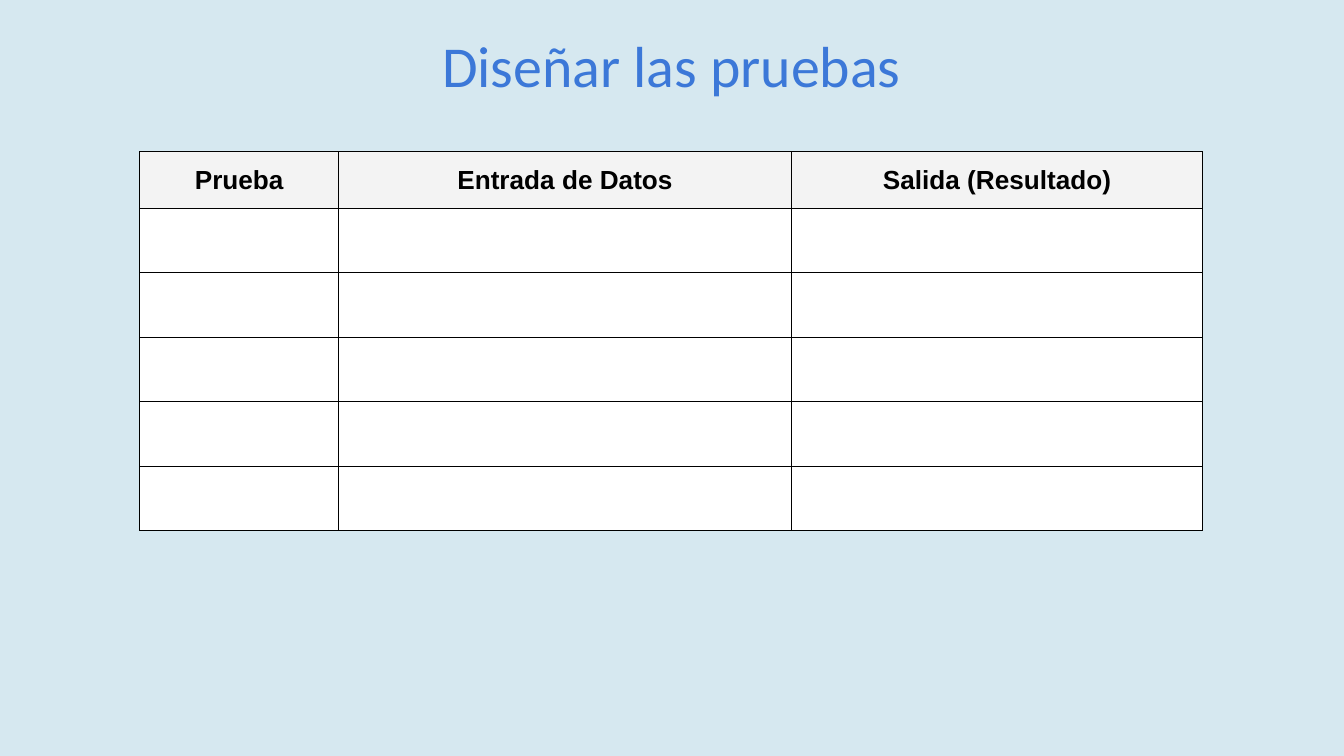
from lxml import etree
from pptx import Presentation
from pptx.dml.color import RGBColor
from pptx.enum.text import MSO_ANCHOR, MSO_AUTO_SIZE, PP_ALIGN
from pptx.oxml.ns import qn
from pptx.util import Inches, Pt

CENTER = PP_ALIGN.CENTER
TOP = MSO_ANCHOR.TOP
NO_FIT = MSO_AUTO_SIZE.NONE

HEADERS = ["Prueba", "Entrada de Datos", "Salida (Resultado)"]
COL_WIDTHS = [1.48, 3.37, 3.06]
HEADER_HEIGHT = 0.42
ROW_HEIGHT = 0.48
EMPTY_ROWS = 5


def color(value):
    """Return the colour for a hex string."""
    return RGBColor.from_string(value)


def fill(target, value):
    """Give a cell or background a solid fill."""
    target.fill.solid()
    target.fill.fore_color.rgb = color(value)


def set_margins(target, inches):
    """Set the four inner margins of a cell or text frame."""
    for side in ("left", "top", "right", "bottom"):
        setattr(target, f"margin_{side}", Inches(inches))


def write(tf, text, font, size, value, bold=False):
    """Write one centred line in a text frame."""
    p = tf.paragraphs[0]
    p.alignment = CENTER
    r = p.add_run()
    r.text = text
    for name, setting in {"name": font, "size": Pt(size), "bold": bold}.items():
        setattr(r.font, name, setting)
    r.font.color.rgb = color(value)


def set_borders(cell, value, width):
    """Draw a solid line on the four sides of a cell."""
    props = cell._tc.get_or_add_tcPr()
    for i, side in enumerate(("a:lnL", "a:lnR", "a:lnT", "a:lnB")):
        line = etree.Element(qn(side), w=str(Pt(width)))
        solid = etree.SubElement(line, qn("a:solidFill"))
        etree.SubElement(solid, qn("a:srgbClr"), val=value)
        props.insert(i, line)


def add_title(s, text, left, top, width, height):
    """Place and format the slide title in its box."""
    sp = s.shapes.title
    box = {"left": left, "top": top, "width": width, "height": height}
    for name, value in box.items():
        setattr(sp, name, Inches(value))
    tf = sp.text_frame
    settings = {"word_wrap": True, "auto_size": NO_FIT, "vertical_anchor": TOP}
    for name, value in settings.items():
        setattr(tf, name, value)
    set_margins(tf, 0.1)
    write(tf, text, "Calibri", 31, "3C78D8")


def add_test_table(s, left, top):
    """Add the test table with its header and empty rows."""
    heights = [HEADER_HEIGHT] + [ROW_HEIGHT] * EMPTY_ROWS
    frame = s.shapes.add_table(
        len(heights), len(HEADERS), Inches(left), Inches(top),
        Inches(sum(COL_WIDTHS)), Inches(sum(heights)))
    table = frame.table
    table.first_row = table.horz_banding = False
    for column, width in zip(table.columns, COL_WIDTHS):
        column.width = Inches(width)
    for row, height in zip(table.rows, heights):
        row.height = Inches(height)
    for cell in table.iter_cells():
        fill(cell, "FFFFFF")
        set_borders(cell, "000000", 0.75)
    for cell, text in zip(table.rows[0].cells, HEADERS):
        fill(cell, "F3F3F3")
        set_margins(cell, 0.1)
        write(cell.text_frame, text, "Arial", 14, "000000", True)


def main():
    """Build the slide and save it."""
    prs = Presentation()
    prs.slide_width = Inches(10)
    prs.slide_height = prs.slide_width * 9 // 16
    s = prs.slides.add_slide(prs.slide_layouts[5])
    fill(s.background, "D6E8F0")
    add_title(s, "Diseñar las pruebas", 0.76, 0.12, 8.47, 0.61)
    add_test_table(s, 1.04, 1.13)
    prs.save("out.pptx")


if __name__ == "__main__":
    main()
